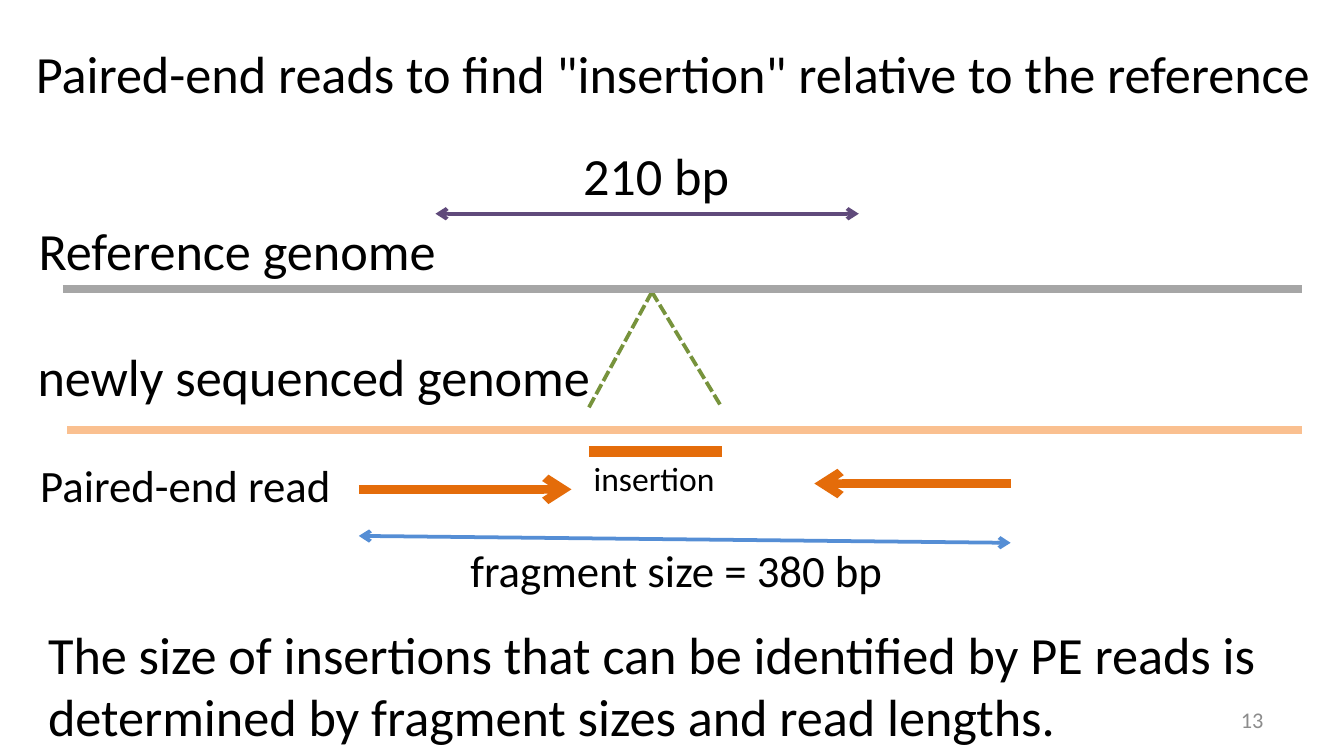
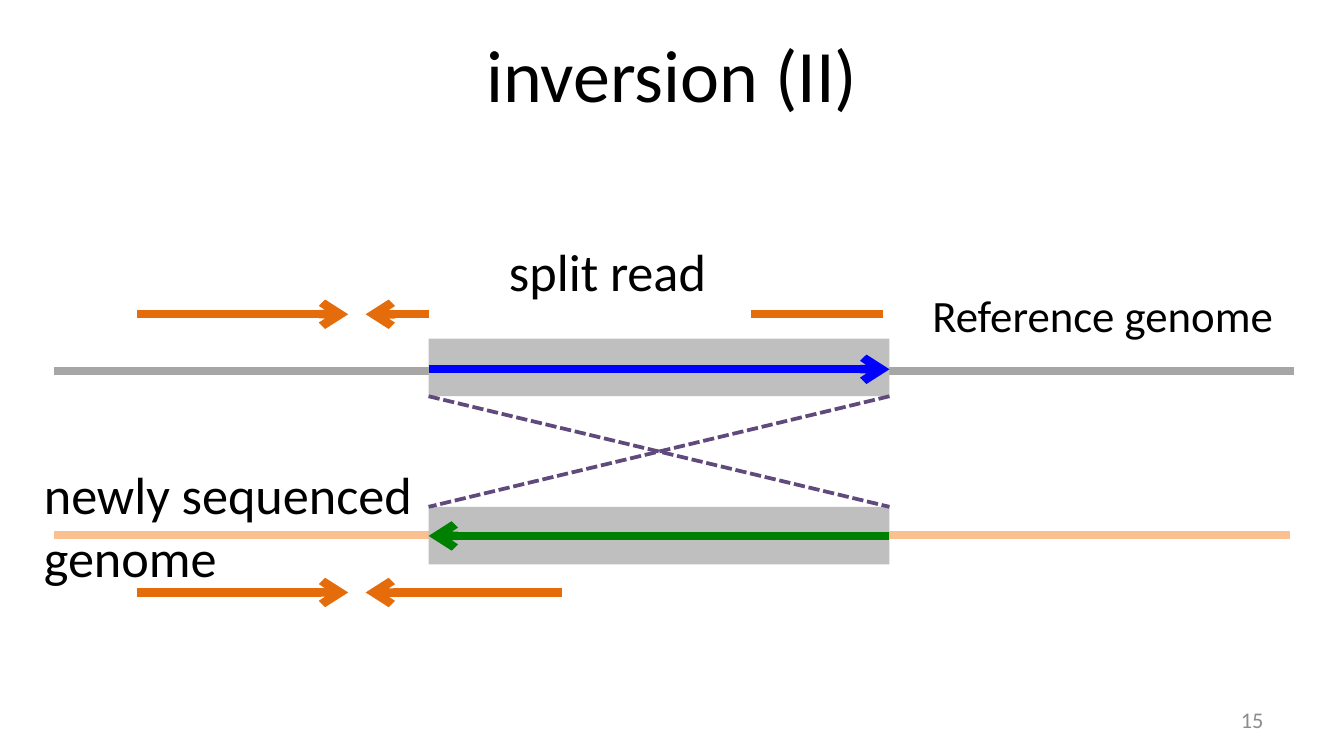
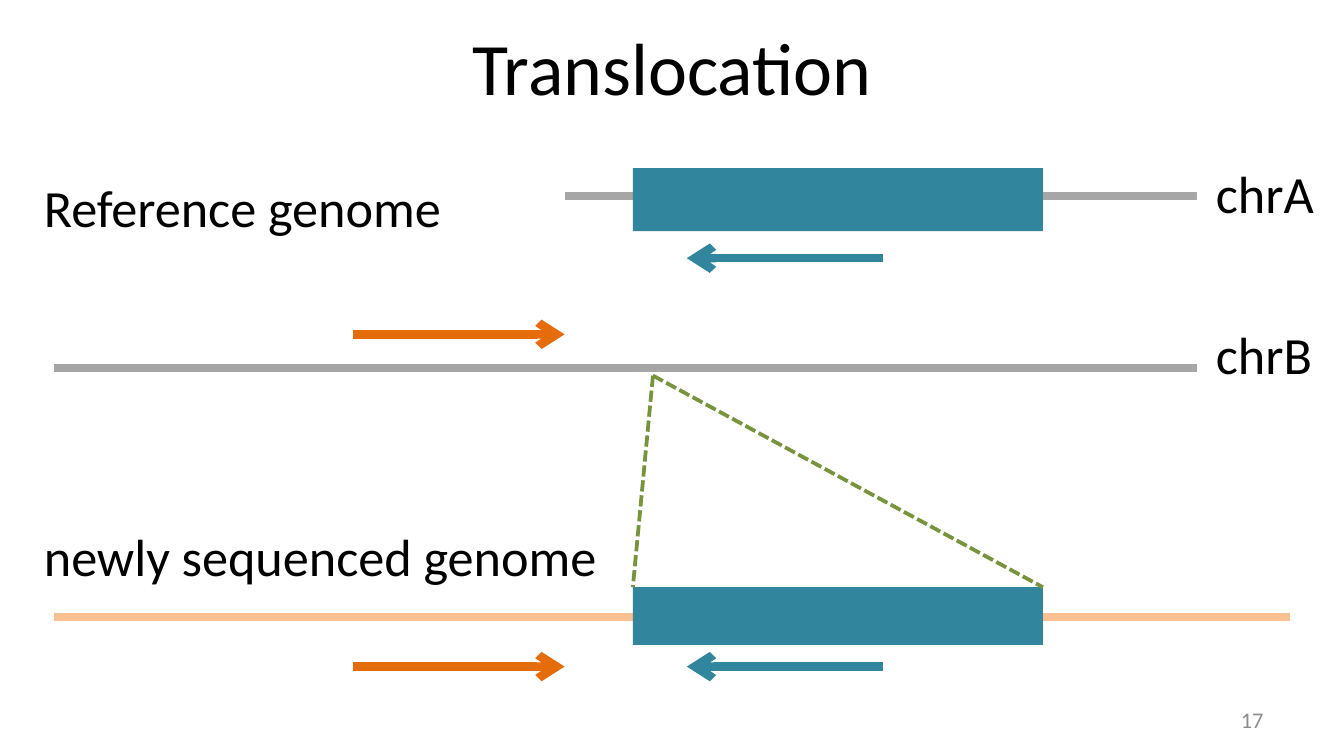
from lxml.etree import SubElement
from pptx import Presentation
from pptx.dml.color import RGBColor
from pptx.enum.dml import MSO_LINE as Dash
from pptx.enum.shapes import MSO_CONNECTOR as Conn, MSO_SHAPE as Shape
from pptx.enum.text import MSO_ANCHOR as Anchor, MSO_AUTO_SIZE as Fit, PP_ALIGN as Align
from pptx.oxml.ns import qn
from pptx.util import Cm, Pt

FONT = "Calibri"
BLACK = RGBColor(0x00, 0x00, 0x00)
MUTED = RGBColor(0x8C, 0x8C, 0x8C)
GRAY = RGBColor(0xA6, 0xA6, 0xA6)
SILVER = RGBColor(0xBF, 0xBF, 0xBF)
PEACH = RGBColor(0xFA, 0xC0, 0x90)
ORANGE = RGBColor(0xE4, 0x6C, 0x0A)
TEAL = RGBColor(0x31, 0x85, 0x9C)
SKY = RGBColor(0x55, 0x8E, 0xD5)
OLIVE = RGBColor(0x77, 0x93, 0x3C)
PURPLE = RGBColor(0x60, 0x4A, 0x7B)
BLUE = RGBColor(0x00, 0x00, 0xFF)
GREEN = RGBColor(0x00, 0x80, 0x00)

THICK, THIN = 4.5, 2
REF, NEW = "Reference genome", "newly sequenced genome"


# Text
def text(slide, words, x, y, w, h, size=28, color=BLACK, align=Align.LEFT,
         anchor=Anchor.TOP, wrap=True, grow=False):
    box = slide.shapes.add_textbox(Cm(x), Cm(y), Cm(w), Cm(h))
    frame = box.text_frame
    frame.word_wrap = wrap
    frame.auto_size = Fit.SHAPE_TO_FIT_TEXT if grow else Fit.NONE
    frame.vertical_anchor = anchor
    para = frame.paragraphs[0]
    para.alignment = align
    run = para.add_run()
    run.text = words
    run.font.name, run.font.size = FONT, Pt(size)
    run.font.color.rgb = color


def label(slide, words, x, y, w, size=28, rows=1):
    """Place a label whose height follows from its rows of text."""
    high = round(rows * size * 1.2 * 2.54 / 72 + 0.25, 2)
    text(slide, words, x, y, w, high, size=size, wrap=rows > 1, grow=True)


def title(slide, words, y, h, x=1.27, w=22.86, size=39.6):
    text(slide, words, x, y, w, h, size=size, align=Align.CENTER,
         anchor=Anchor.MIDDLE)


def number(slide, value):
    text(slide, str(value), 18.21, 13.23, 5.92, 0.76, size=12, color=MUTED,
         align=Align.RIGHT, anchor=Anchor.MIDDLE)


# Lines and blocks
def line(slide, start, end, color, width=THICK, dash=None, ends=()):
    """Draw a line; ends names the ends that carry an arrow."""
    points = [Cm(v) for v in (*start, *end)]
    link = slide.shapes.add_connector(Conn.STRAIGHT, *points)
    link.line.color.rgb = color
    link.line.width = Pt(width)
    if dash:
        link.line.dash_style = dash
    stroke = link.line._get_or_add_ln()
    for end_tag in ends:
        SubElement(stroke, qn(f"a:{end_tag}"), type="arrow")
    SubElement(link._element.spPr, qn("a:effectLst"))


def strand(slide, x1, x2, y, color, width=THICK):
    line(slide, (x1, y), (x2, y), color, width)


def read(slide, x1, x2, y, color=ORANGE):
    line(slide, (x1, y), (x2, y), color, ends=["tailEnd"])


def span(slide, start, end, color):
    line(slide, start, end, color, THIN, ends=["headEnd", "tailEnd"])


def guide(slide, start, end, color):
    line(slide, start, end, color, THIN, Dash.SQUARE_DOT)


def block(slide, x, y, w, h, color):
    rect = slide.shapes.add_shape(Shape.RECTANGLE, Cm(x), Cm(y), Cm(w), Cm(h))
    rect.shadow.inherit = False
    rect.fill.solid()
    rect.fill.fore_color.rgb = color
    rect.line.fill.background()


# Slides
def insertion(slide):
    title(slide, 'Paired-end reads to find "insertion" relative to the reference',
          0.53, 1.7, x=0.28, w=24.87, size=28)
    left, right = 6.78, 19.1
    gap_l, gap_r = 11.13, 13.64

    # Reads and the fragment they bound
    read(slide, left, 10.8, 9.25)
    read(slide, right, 15.39, 9.14)
    strand(slide, 1.27, 24.61, 8.13, PEACH)
    span(slide, (left, 10.13), (right, 10.26), SKY)
    label(slide, "fragment size = 380 bp", 8.64, 10.13, 8.36, size=24)
    label(slide, "Paired-end read", 0.51, 8.53, 6.1, size=24)

    # Reference and the inserted piece
    for x in (gap_l, gap_r):
        guide(slide, (12.32, 5.52), (x, 7.7), OLIVE)
    span(slide, (8.23, 4.04), (16.23, 4.04), PURPLE)
    label(slide, "210 bp", 10.77, 2.59, 3.3)
    strand(slide, 1.19, 24.61, 5.46, GRAY)
    label(slide, REF, 0.48, 4.01, 8.31)
    strand(slide, gap_l, gap_r, 8.53, ORANGE, width=6)
    label(slide, "insertion", 10.97, 8.53, 2.82, size=18)
    label(slide, "The size of insertions that can be identified by PE reads is "
          "determined by fragment sizes and read lengths.",
          0.66, 11.63, 23.44, rows=2)
    label(slide, NEW, 0.46, 6.38, 11.07)


def inversion(slide):
    title(slide, "inversion (II)", 0.41, 1.93)
    left, right = 8.1, 16.81
    top, low, high = 6.4, 9.58, 1.09

    # Split read
    strand(slide, 16.69, 14.2, 5.94, ORANGE)
    label(slide, "split read", 9.37, 4.39, 4.29)

    # Genomes and the inverted piece
    strand(slide, 1.02, 24.38, 10.11, PEACH)
    strand(slide, 1.02, 24.46, 7.01, GRAY)
    label(slide, REF, 17.37, 5.31, 7.21, size=24)
    for y in (top, low):
        block(slide, left, y, right - left, high, SILVER)
    read(slide, left, right, 6.98, BLUE)
    read(slide, right, left, 10.13, GREEN)
    for x1, x2 in ((right, left), (left, right)):
        guide(slide, (x1, top + high), (x2, low), PURPLE)

    # Read pairs
    for x, y in ((left, 5.94), (10.62, 11.2)):
        read(slide, 2.59, 6.58, y)
        read(slide, x, 6.91, y)
    label(slide, NEW, 0.58, 8.61, 8.76, rows=2)


def translocation(slide):
    title(slide, "Translocation", 0.25, 2.01)
    left, wide = 11.96, 7.75
    edge, low = 22.63, 11.1

    # Genomes
    strand(slide, 1.02, 24.38, 11.66, PEACH)
    strand(slide, 1.02, edge, 6.96, GRAY)
    strand(slide, 10.67, edge, 3.71, GRAY)
    label(slide, REF, 0.58, 3.18, 8.31)
    label(slide, NEW, 0.58, 9.78, 11.07)
    label(slide, "chrA", 22.73, 2.92, 2.39)
    label(slide, "chrB", 22.73, 5.97, 2.34)

    # Read pairs
    for fore, back in ((12.6, 12.6), (6.32, 4.88)):
        read(slide, 6.68, 10.67, fore)
        read(slide, 16.69, 12.98, back, TEAL)

    # Moved piece
    block(slide, left, low, wide, 1.09, TEAL)
    block(slide, left, 3.18, wide, 1.19, TEAL)
    for x in (left, left + wide):
        guide(slide, (12.34, 7.1), (x, low), OLIVE)


def main():
    deck = Presentation()
    deck.slide_width, deck.slide_height = Cm(25.4), Cm(14.29)
    for draw, page in ((insertion, 13), (inversion, 15), (translocation, 17)):
        slide = deck.slides.add_slide(deck.slide_layouts[6])
        draw(slide)
        number(slide, page)
    deck.save("out.pptx")


if __name__ == "__main__":
    main()
